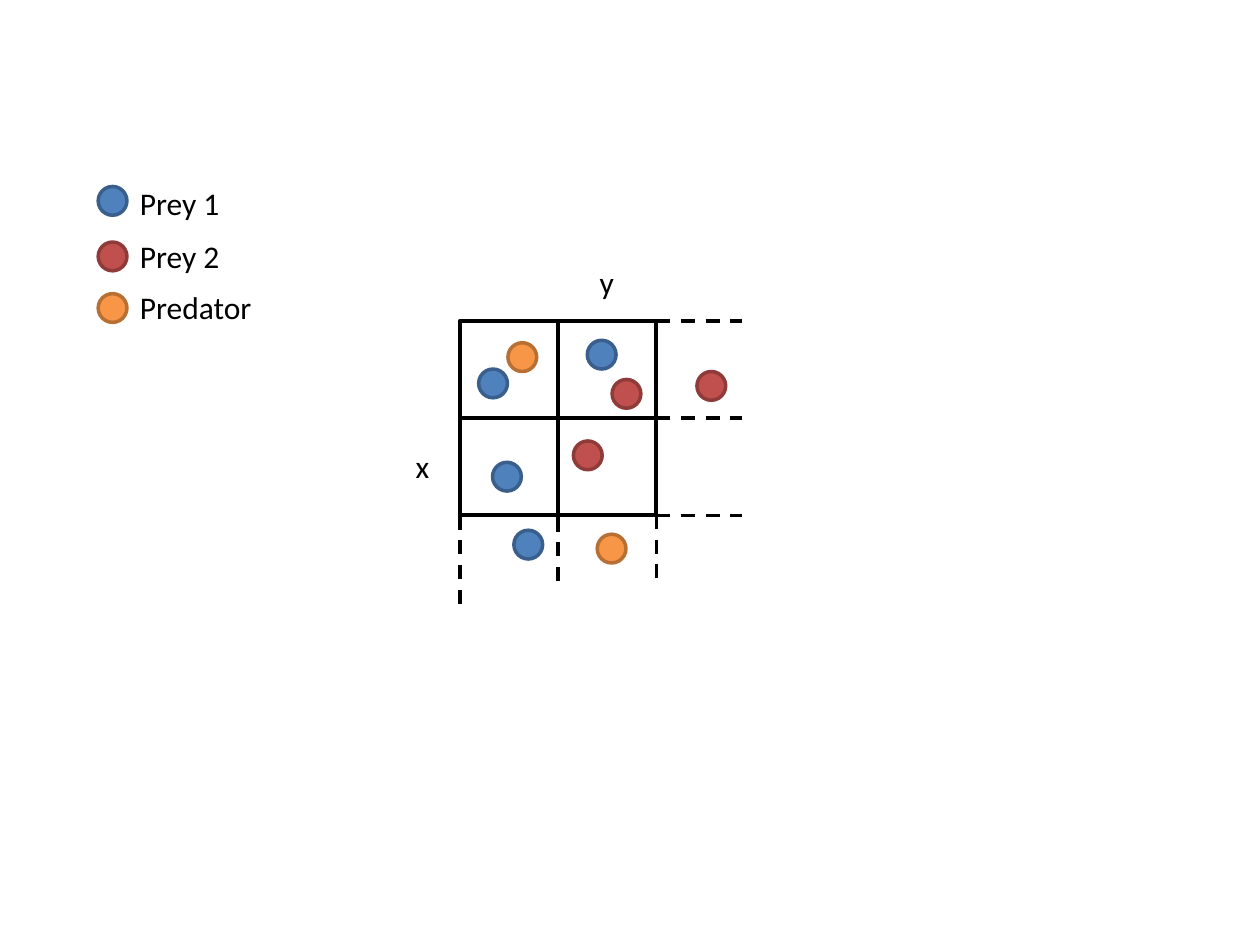
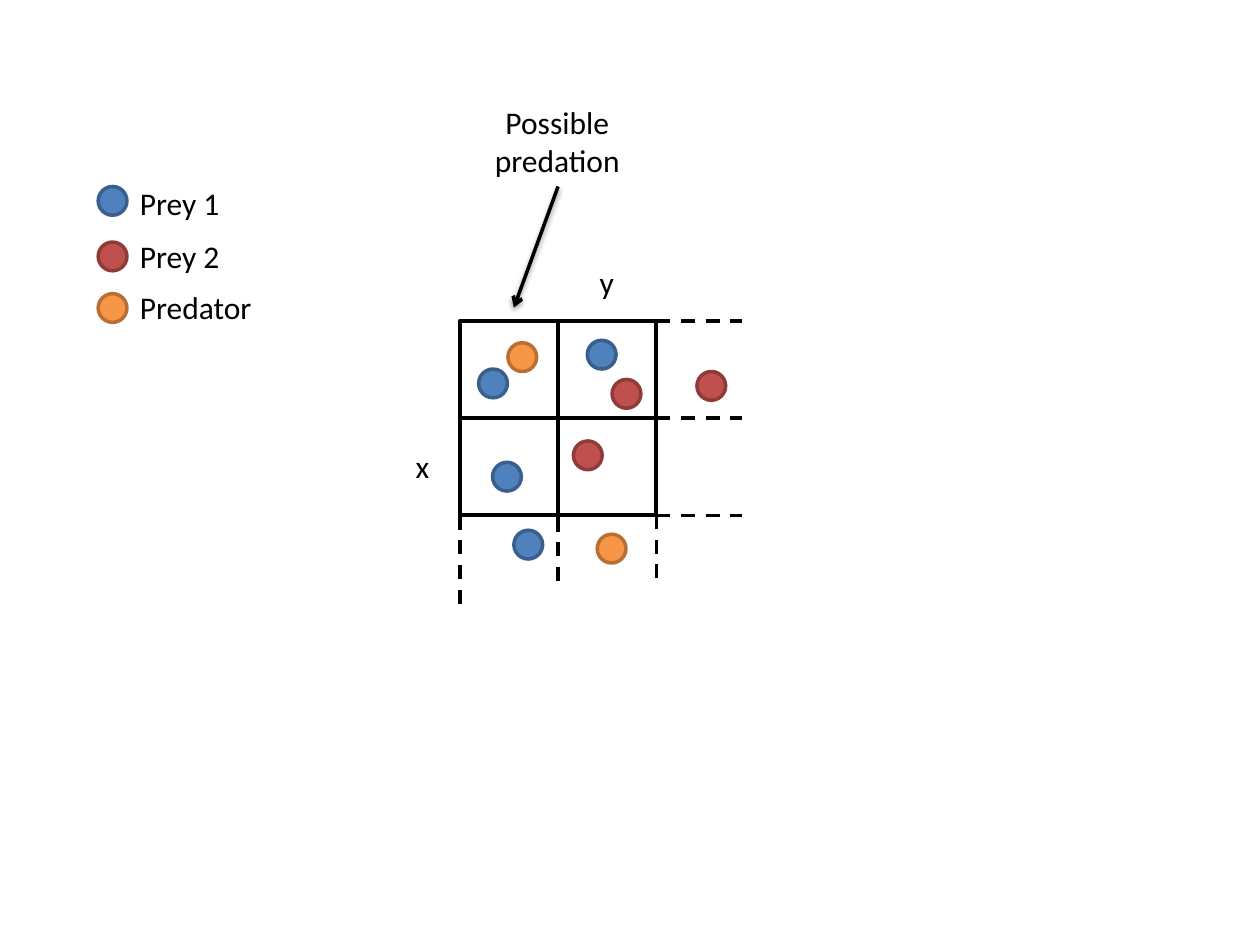
from lxml.etree import SubElement
from pptx import Presentation
from pptx.dml.color import RGBColor
from pptx.enum.dml import MSO_LINE_DASH_STYLE as Dash
from pptx.enum.shapes import MSO_CONNECTOR as Connector, MSO_SHAPE as Preset
from pptx.enum.text import MSO_AUTO_SIZE as AutoSize, PP_ALIGN as Align
from pptx.oxml.ns import qn
from pptx.util import Cm, Pt

COLORS = {
    "ink": "000000",
    "Prey 1": "4F81BD", "Prey 1 edge": "3A5F8C",
    "Prey 2": "C0504D", "Prey 2 edge": "8E3B39",
    "Predator": "F79646", "Predator edge": "B76F34",
}
FONT = "Calibri"

GRID_LEFT, GRID_TOP = 9.27, 6.47
CELL_WIDTH, CELL_HEIGHT = 1.98, 1.96
COLUMNS, ROWS = 2, 2
ROW_EXTENSION = 1.73
COLUMN_EXTENSIONS = [(10.21, 12.17), (10.16, 11.71), (10.11, 11.66)]

DOT = 0.58
LEGEND_DOT_LEFT, LEGEND_TEXT_LEFT = 1.98, 2.57
LEGEND = [
    ("Prey 1", 3.76, 3.58, 2.16),
    ("Prey 2", 4.88, 4.65, 2.16),
    ("Predator", 5.92, 5.69, 2.82),
]
ANIMALS = {
    "Prey 1": [(9.65, 7.44), (11.84, 6.86), (9.93, 9.32), (10.36, 10.69)],
    "Prey 2": [(12.34, 7.65), (14.05, 7.49), (11.56, 8.89)],
    "Predator": [(12.04, 10.77), (10.24, 6.91)],
}
TEXT_HEIGHT = 1.02
AXIS_LABELS = [("x", 8.13, 8.89, 0.79), ("y", 11.84, 5.18, 0.81)]
CALLOUT = (["Possible", "predation"], 9.7, 1.96, 3.07, 1.8)
CALLOUT_ARROW = (11.25, 3.76, 10.36, 6.2)


def color(name):
    return RGBColor.from_string(COLORS[name])


def add_outline(slide, preset, box, line_color, line_width, fill=None):
    shape = slide.shapes.add_shape(preset, *map(Cm, box))
    shape.shadow.inherit = False
    if fill:
        shape.fill.solid()
        shape.fill.fore_color.rgb = color(fill)
    else:
        shape.fill.background()
    shape.line.color.rgb = color(line_color)
    shape.line.width = Pt(line_width)


def add_dot(slide, animal, left, top):
    add_outline(slide, Preset.OVAL, (left, top, DOT, DOT), f"{animal} edge", 2, animal)


def add_line(slide, *ends):
    line = slide.shapes.add_connector(Connector.STRAIGHT, *map(Cm, ends))
    line.line.color.rgb = color("ink")
    line.line.width = Pt(2)
    effects = SubElement(line._element.spPr, qn("a:effectLst"))
    return line, effects


def add_dashed_line(slide, *ends):
    line, effects = add_line(slide, *ends)
    line.line.dash_style = Dash.DASH


def add_text(slide, lines, left, top, width, height=TEXT_HEIGHT, align=Align.LEFT):
    box = slide.shapes.add_textbox(*map(Cm, (left, top, width, height)))
    frame = box.text_frame
    frame.word_wrap = False
    frame.auto_size = AutoSize.SHAPE_TO_FIT_TEXT
    frame.text = "\n".join(lines)
    for paragraph in frame.paragraphs:
        paragraph.alignment = align
        paragraph.font.name = FONT
        paragraph.font.size = Pt(18)
        paragraph.font.color.rgb = color("ink")


def add_grid(slide):
    for row in range(ROWS):
        for column in range(COLUMNS):
            left = GRID_LEFT + column * CELL_WIDTH
            top = GRID_TOP + row * CELL_HEIGHT
            add_outline(slide, Preset.RECTANGLE, (left, top, CELL_WIDTH, CELL_HEIGHT), "ink", 2.25)
    right = GRID_LEFT + COLUMNS * CELL_WIDTH
    for row in range(ROWS + 1):
        y = GRID_TOP + row * CELL_HEIGHT
        add_dashed_line(slide, right, y, right + ROW_EXTENSION, y)
    for column, (top, bottom) in enumerate(COLUMN_EXTENSIONS):
        x = GRID_LEFT + column * CELL_WIDTH
        add_dashed_line(slide, x, bottom, x, top)


def add_world(presentation):
    slide = presentation.slides.add_slide(presentation.slide_layouts[6])
    add_grid(slide)
    for label, left, top, width in AXIS_LABELS:
        add_text(slide, [label], left, top, width)
    for animal, places in ANIMALS.items():
        for left, top in places:
            add_dot(slide, animal, left, top)
    for animal, dot_top, text_top, width in LEGEND:
        add_dot(slide, animal, LEGEND_DOT_LEFT, dot_top)
        add_text(slide, [animal], LEGEND_TEXT_LEFT, text_top, width)
    return slide


def add_callout(slide):
    arrow, effects = add_line(slide, *CALLOUT_ARROW)
    SubElement(arrow.line._get_or_add_ln(), qn("a:tailEnd"), type="arrow")
    shadow = SubElement(effects, qn("a:outerShdw"), blurRad="40000", dist="20000",
                        dir="5400000", rotWithShape="0")
    shade = SubElement(shadow, qn("a:srgbClr"), val=COLORS["ink"])
    SubElement(shade, qn("a:alpha"), val="38000")
    add_text(slide, *CALLOUT, align=Align.CENTER)


def main():
    presentation = Presentation()
    presentation.slide_width, presentation.slide_height = Cm(25.4), Cm(19.05)
    add_world(presentation)
    add_callout(add_world(presentation))
    presentation.save("out.pptx")


if __name__ == "__main__":
    main()
